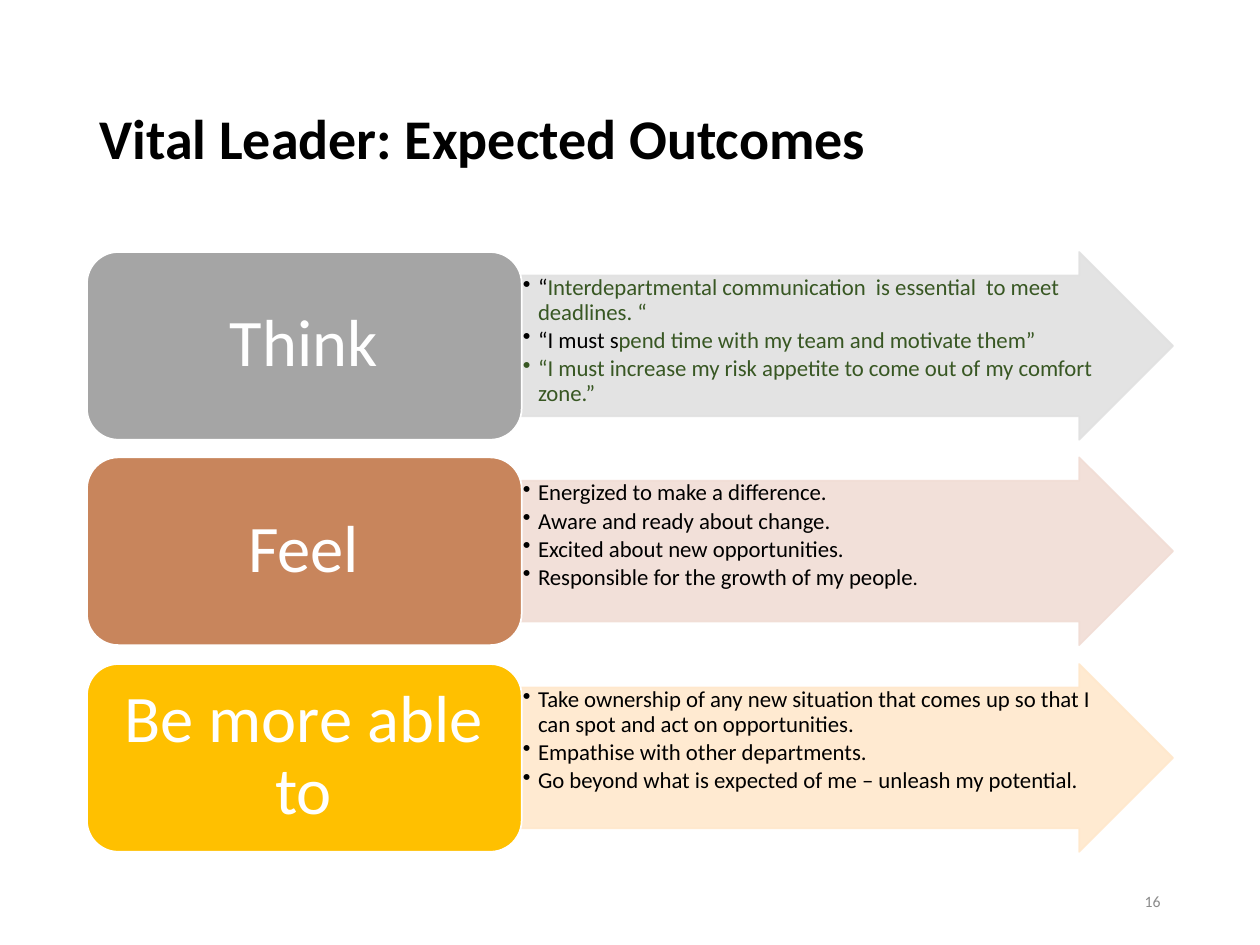
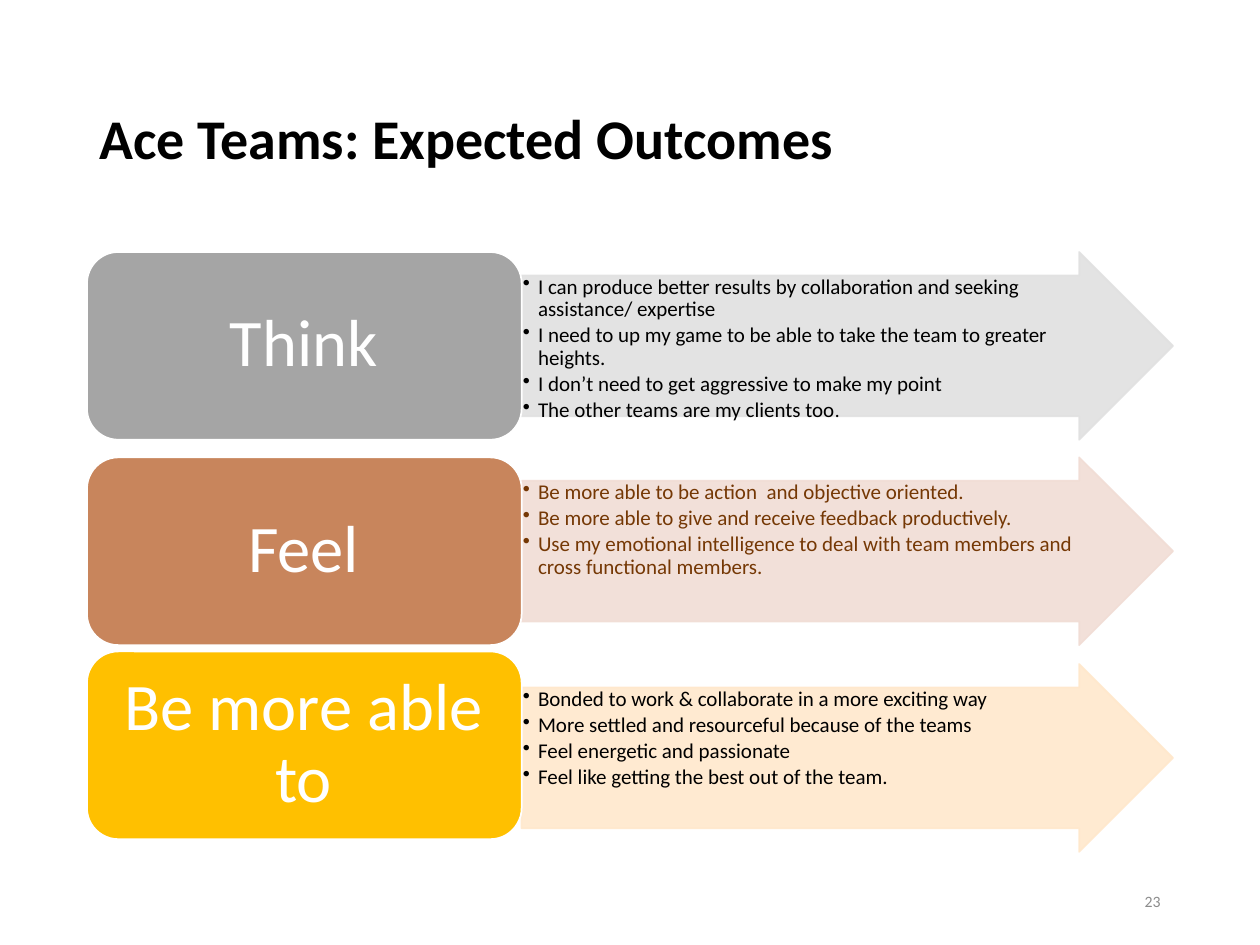
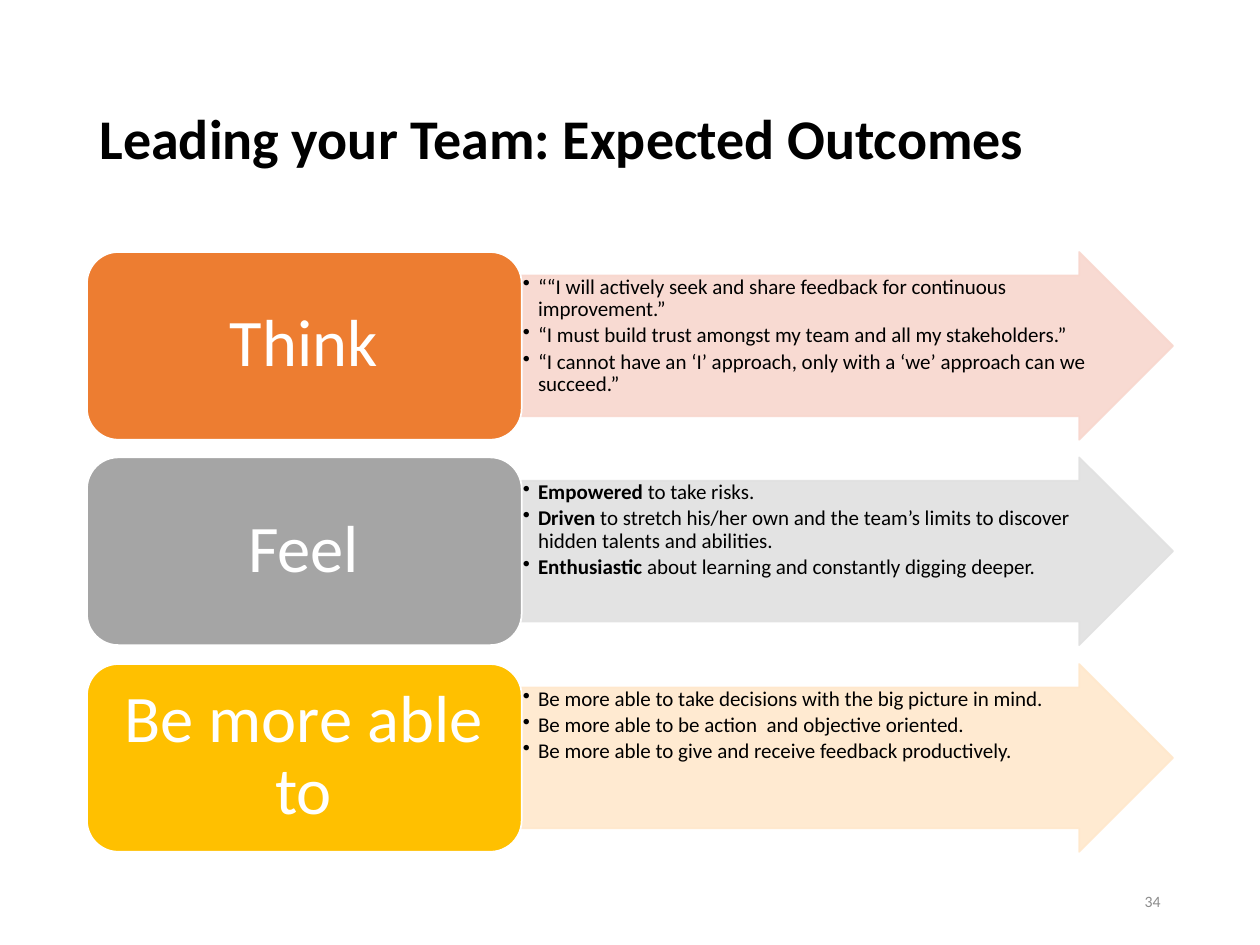
from dataclasses import dataclass
from typing import Any

from lxml.etree import SubElement
from pptx import Presentation
from pptx.dml.color import RGBColor
from pptx.enum.shapes import MSO_SHAPE as Preset
from pptx.enum.text import MSO_ANCHOR as Anchor, MSO_AUTO_SIZE as AutoSize, PP_ALIGN as Align
from pptx.oxml.ns import qn
from pptx.util import Emu, Pt

EMU_PER_PX = 9144
FONT = "Calibri"
COLORS = {
    "black": "000000",
    "white": "FFFFFF",
    "green": "385723",
    "brown": "753805",
    "number": "8C8C8C",
    "gray": "A5A5A5",
    "gray_tint": "E1E1E1",
    "copper": "C8855C",
    "copper_tint": "F1DDD5",
    "orange": "ED7D31",
    "orange_tint": "F8D7CE",
    "gold": "FFC000",
    "gold_tint": "FFE8CC",
}
LEFT, LABEL_WIDTH, ARROW_WIDTH, ROW_HEIGHT = 69, 345, 517, 149
ARROW_LEFT = LEFT + LABEL_WIDTH
FIRST_ROW_TOP, TWO_ROW_STEP = 200, 327
TINT_ALPHA = 90000
BULLET_INDENT = 12


@dataclass(frozen=True)
class Box:
    left: int
    top: int
    width: int
    height: int

    def emu(self) -> tuple[Emu, ...]:
        return tuple(px(length) for length in (self.left, self.top, self.width, self.height))


@dataclass(frozen=True)
class Run:
    text: str
    color: str = "black"
    size: int | None = None
    bold: bool = False


@dataclass(frozen=True)
class OutcomeRow:
    label: str
    color: str
    bullets: list[list[Run]]
    label_shift: int = 0


@dataclass(frozen=True)
class OutcomeSlide:
    title: str
    number: int
    size: int
    rows: list[OutcomeRow]


TITLE_BOX = Box(LEFT, 40, 862, 145)
NUMBER_BOX = Box(706, 695, 225, 40)


def px(length: int) -> Emu:
    return Emu(length * EMU_PER_PX)


def rgb(name: str) -> RGBColor:
    return RGBColor.from_string(COLORS[name])


def apply_format(target: Any, values: dict[str, Any]) -> None:
    for name, value in values.items():
        setattr(target, name, value)


def plain(*texts: str, color: str = "black") -> list[list[Run]]:
    return [[Run(text, color)] for text in texts]


def format_frame(frame: Any, anchor: Any, horizontal: int = 10, vertical: int = 5) -> None:
    apply_format(frame, {
        "word_wrap": True, "auto_size": AutoSize.NONE, "vertical_anchor": anchor,
        "margin_left": px(horizontal), "margin_right": px(horizontal),
        "margin_top": px(vertical), "margin_bottom": px(vertical),
    })


def add_run(paragraph: Any, run: Run, size: int) -> None:
    text_run = paragraph.add_run()
    text_run.text = run.text
    apply_format(text_run.font, {"name": FONT, "size": Pt(run.size or size), "bold": run.bold})
    text_run.font.color.rgb = rgb(run.color)


def add_line(frame: Any, run: Run, size: int, align: Any, spacing: float = 0.9) -> None:
    paragraph = frame.paragraphs[0]
    apply_format(paragraph, {"alignment": align, "line_spacing": spacing})
    add_run(paragraph, run, size)


def add_preset(shapes: Any, preset: Any, box: Box, fill: str, line: str) -> Any:
    shape = shapes.add_shape(preset, *box.emu())
    shape.shadow.inherit = False
    shape.fill.solid()
    shape.fill.fore_color.rgb = rgb(fill)
    shape.line.color.rgb = rgb(line)
    shape.line.width = Pt(1)
    return shape


def add_arrow(shapes: Any, box: Box, tint: str) -> None:
    arrow = add_preset(shapes, Preset.RIGHT_ARROW, box, tint, tint)
    arrow.adjustments[0] = 0.75
    arrow.adjustments[1] = 0.5
    for color in arrow.element.spPr.iter(qn("a:srgbClr")):
        SubElement(color, qn("a:alpha"), val=str(TINT_ALPHA))


def add_bullets(shapes: Any, box: Box, bullets: list[list[Run]], size: int) -> None:
    frame = shapes.add_textbox(*box.emu()).text_frame
    format_frame(frame, Anchor.TOP, 1, 1)
    for index, runs in enumerate(bullets):
        paragraph = frame.add_paragraph() if index else frame.paragraphs[0]
        apply_format(paragraph, {"level": 1, "line_spacing": 0.9, "space_after": Pt(2)})
        properties = paragraph._p.get_or_add_pPr()
        properties.set("marL", str(px(BULLET_INDENT)))
        properties.set("indent", str(-px(BULLET_INDENT)))
        SubElement(properties, qn("a:buChar"), char="•")
        for run in runs:
            add_run(paragraph, run, size)


def add_row(shapes: Any, row: OutcomeRow, index: int, size: int) -> None:
    top = FIRST_ROW_TOP + index * TWO_ROW_STEP // 2
    label_top = top + row.label_shift
    add_arrow(shapes, Box(ARROW_LEFT, top, ARROW_WIDTH, ROW_HEIGHT), f"{row.color}_tint")
    add_bullets(shapes, Box(ARROW_LEFT, top + 18, 462, 112), row.bullets, size)
    add_preset(shapes, Preset.ROUNDED_RECTANGLE,
               Box(LEFT, label_top, LABEL_WIDTH, ROW_HEIGHT), row.color, "white")
    frame = shapes.add_textbox(*Box(LEFT + 7, label_top + 7, 330, 134).emu()).text_frame
    format_frame(frame, Anchor.MIDDLE, 16, 8)
    add_line(frame, Run(row.label, "white"), 38, Align.CENTER)


def add_outcome_slide(presentation: Any, content: OutcomeSlide) -> None:
    slide = presentation.slides.add_slide(presentation.slide_layouts[5])
    title = slide.shapes.title
    apply_format(title, dict(zip(("left", "top", "width", "height"), TITLE_BOX.emu())))
    format_frame(title.text_frame, Anchor.MIDDLE)
    add_line(title.text_frame, Run(content.title, bold=True), 32, Align.LEFT)

    diagram = slide.shapes.add_group_shape()
    for index, row in enumerate(content.rows):
        add_row(diagram.shapes, row, index, content.size)

    number_frame = slide.shapes.add_textbox(*NUMBER_BOX.emu()).text_frame
    format_frame(number_frame, Anchor.MIDDLE)
    add_line(number_frame, Run(str(content.number), "number"), 9, Align.RIGHT, 1.0)


SLIDES = [
    OutcomeSlide("Vital Leader: Expected Outcomes", 16, 13, [
        OutcomeRow("Think", "gray", [
            [Run("“"), Run("Interdepartmental communication  is essential  to meet deadlines. “", "green")],
            [Run("“I must s"), Run("pend time with my team and motivate them”", "green")],
            [Run("“I must increase my risk appetite to come out of my comfort zone.”", "green")],
        ]),
        OutcomeRow("Feel", "copper", [
            *plain(
                "Energized to make a difference.",
                "Aware and ready about change.",
                "Excited about new opportunities.",
            ),
            [Run("Responsible for the growth of my people"), Run(".", size=12)],
        ]),
        OutcomeRow("Be more able to", "gold", plain(
            "Take ownership of any new situation that comes up so that I can spot and act on opportunities.",
            "Empathise with other departments.",
            "Go beyond what is expected of me – unleash my potential.",
        )),
    ]),
    OutcomeSlide("Ace Teams: Expected Outcomes", 23, 12, [
        OutcomeRow("Think", "gray", [
            *plain(
                "I can produce better results by collaboration and seeking assistance/ expertise",
                "I need to up my game to be able to take the team to greater heights.",
                "I don’t need to get aggressive to make my point",
            ),
            [Run("The other teams are my clients too"), Run(".", size=11)],
        ]),
        OutcomeRow("Feel", "copper", plain(
            "Be more able to be action  and objective oriented.",
            "Be more able to give and receive feedback productively.",
            "Use my emotional intelligence to deal with team members and cross functional members.",
            color="brown",
        )),
        OutcomeRow("Be more able to", "gold", plain(
            "Bonded to work & collaborate in a more exciting way",
            "More settled and resourceful because of the teams",
            "Feel energetic and passionate",
            "Feel like getting the best out of the team.",
        ), label_shift=-10),
    ]),
    OutcomeSlide("Leading your Team: Expected Outcomes", 34, 12, [
        OutcomeRow("Think", "orange", plain(
            "““I will actively seek and share feedback for continuous improvement.”",
            "“I must build trust amongst my team and all my stakeholders.”",
            "“I cannot have an ‘I’ approach, only with a ‘we’ approach can we succeed.”",
        )),
        OutcomeRow("Feel", "gray", [
            [Run("Empowered ", bold=True), Run("to take risks.")],
            [Run("Driven ", bold=True),
             Run("to stretch his/her own and the team’s limits to discover hidden talents and abilities.")],
            [Run("Enthusiastic ", bold=True), Run("about learning and constantly digging deeper.")],
        ]),
        OutcomeRow("Be more able to", "gold", plain(
            "Be more able to take decisions with the big picture in mind.",
            "Be more able to be action  and objective oriented.",
            "Be more able to give and receive feedback productively.",
        )),
    ]),
]


def main() -> None:
    presentation = Presentation()
    apply_format(presentation, {"slide_width": px(1000), "slide_height": px(750)})
    for content in SLIDES:
        add_outcome_slide(presentation, content)
    presentation.save("out.pptx")


if __name__ == "__main__":
    main()
